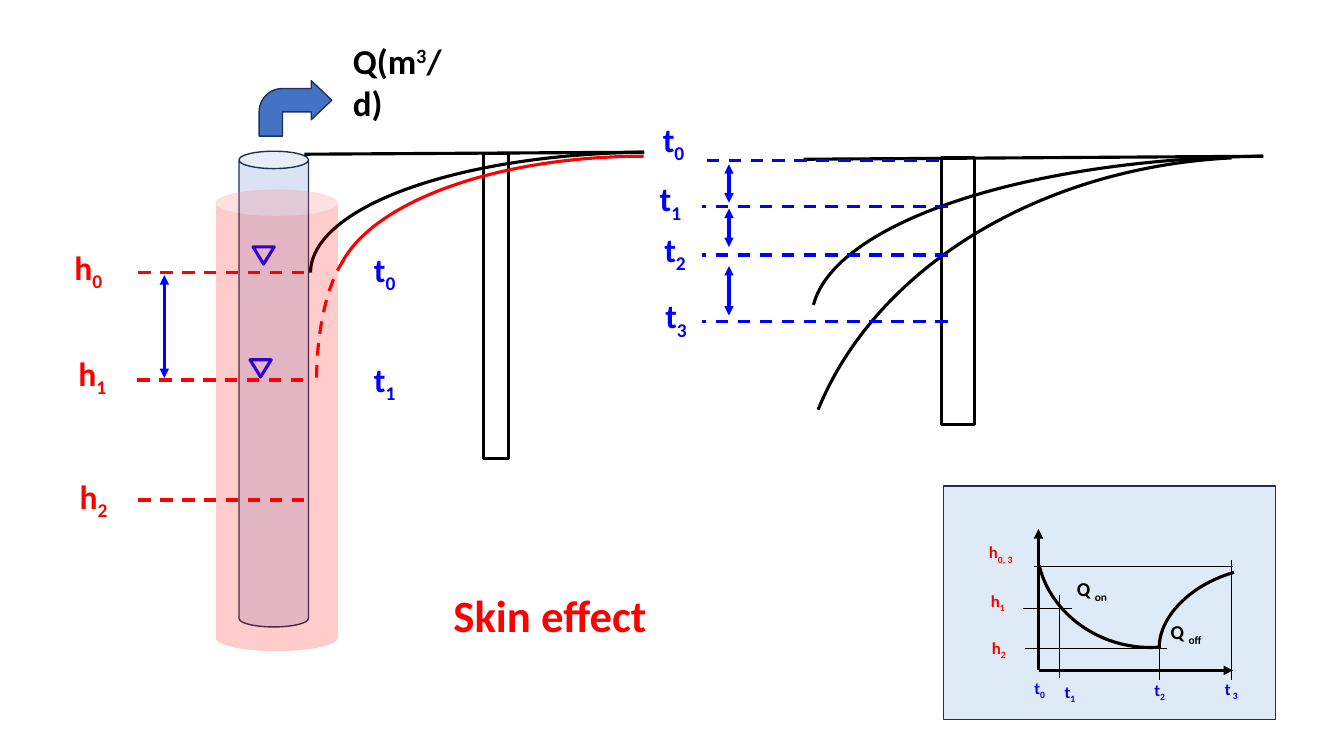
from dataclasses import dataclass
from typing import Optional, Union

from lxml import etree
from pptx import Presentation
from pptx.dml import color as dml_color
from pptx.enum import dml, shapes, text
from pptx.oxml import ns
from pptx.util import Inches, Pt

COLORS = {
    "black": "000000", "white": "FFFFFF", "red": "FF0000", "blue": "0000FF",
    "outline": "1E3256", "casing": "DAE3F3", "pump": "4472C4", "panel": "DEEBF7",
}
FONT = {"name": "Calibri", "bold": True}
KINDS = shapes.MSO_SHAPE
ALIGN = text.PP_ALIGN


@dataclass
class Line:
    start: tuple[float, float]
    end: tuple[float, float]
    color: str = "black"
    width: float = 2.25
    dashed: bool = False
    arrows: tuple[str, ...] = ()


@dataclass
class Figure:
    kind: shapes.MSO_SHAPE
    box: tuple[float, float, float, float]
    fill: Optional[str] = None
    line: Optional[str] = "black"
    width: float = 2.25
    adjustments: tuple[float, ...] = ()
    flip: str = ""
    rotation: float = 0
    dashed: bool = False
    alpha: Optional[int] = None


@dataclass
class Label:
    box: tuple[float, float, float, float]
    runs: tuple[tuple[str, int], ...]
    color: str
    size: float = 24
    align: text.PP_ALIGN = ALIGN.LEFT
    tight: bool = False
    fill: Optional[str] = None


Item = Union[Line, Figure, Label]


def rgb(name: str) -> dml_color.RGBColor:
    return dml_color.RGBColor.from_string(COLORS[name])


def style_line(line, color: str, width: float, dashed: bool) -> None:
    line.color.rgb = rgb(color)
    line.width = Pt(width)
    if dashed:
        line.dash_style = dml.MSO_LINE.DASH


def draw_line(canvas, item: Line) -> None:
    connector = canvas.add_connector(
        shapes.MSO_CONNECTOR.STRAIGHT, *map(Inches, item.start + item.end))
    style_line(connector.line, item.color, item.width, item.dashed)
    for end in item.arrows:
        etree.SubElement(connector.line._get_or_add_ln(), ns.qn(f"a:{end}"), type="triangle")
    etree.SubElement(connector._element.spPr, ns.qn("a:effectLst"))


def draw_figure(canvas, item: Figure) -> None:
    shape = canvas.add_shape(item.kind, *map(Inches, item.box))
    shape.shadow.inherit = False
    shape.rotation = item.rotation
    for index, value in enumerate(item.adjustments):
        shape.adjustments[index] = value
    if item.flip:
        shape._element.spPr.find(ns.qn("a:xfrm")).set(item.flip, "1")
    if item.fill:
        shape.fill.solid()
        shape.fill.fore_color.rgb = rgb(item.fill)
        if item.alpha:
            fill_color = shape._element.spPr.find(ns.qn("a:solidFill"))[0]
            etree.SubElement(fill_color, ns.qn("a:alpha"), val=str(item.alpha * 1000))
    else:
        shape.fill.background()
    if item.line:
        style_line(shape.line, item.line, item.width, item.dashed)
    else:
        shape.line.fill.background()


def write_runs(paragraph, item: Label) -> None:
    paragraph.alignment = item.align
    for words, baseline in item.runs:
        run = paragraph.add_run()
        run.text = words
        for name, value in {**FONT, "size": Pt(item.size)}.items():
            setattr(run.font, name, value)
        run.font.color.rgb = rgb(item.color)
        if baseline:
            run._r.get_or_add_rPr().set("baseline", str(baseline * 1000))


def draw_label(canvas, item: Label) -> None:
    shape = canvas.add_textbox(*map(Inches, item.box))
    frame = shape.text_frame
    frame.word_wrap = not item.tight
    if item.tight:
        for side in ("left", "top", "right", "bottom"):
            setattr(frame, f"margin_{side}", 0)
    if item.fill:
        shape.fill.solid()
        shape.fill.fore_color.rgb = rgb(item.fill)
    write_runs(frame.paragraphs[0], item)


def draw(canvas, items: list[Item]) -> None:
    painters = {Line: draw_line, Figure: draw_figure, Label: draw_label}
    for item in items:
        painters[type(item)](canvas, item)


def symbol(letter: str, index: str, box, color: str, size: float = 24,
           align: text.PP_ALIGN = ALIGN.LEFT, tight: bool = False) -> Label:
    return Label(box, ((letter, 0), (index, -25)), color, size, align, tight)


def arc(box, adjustments, flip: str = "flipH", rotation: float = 0,
        color: str = "black", dashed: bool = False) -> Figure:
    return Figure(KINDS.ARC, box, None, color, 2.25, adjustments, flip, rotation, dashed)


def double_arrow(x: float, top: float, bottom: float) -> Line:
    return Line((x, top), (x, bottom), "blue", arrows=("headEnd", "tailEnd"))


def thin(start, end) -> Line:
    return Line(start, end, width=0.5)


WELL = [
    Figure(KINDS.CAN, (2.37, 1.5, 0.69, 4.72), "casing", "outline", 1),
    *(Line((x, y), (x + 1.74, y), "red", dashed=True)
      for x, y in ((1.36, 3.77), (1.37, 2.7), (1.37, 4.96))),
    Line((3.02, 1.53), (6.39, 1.51)),
    arc((3.08, 1.51, 6.81, 2.39), (164.84, 0)),
    arc((3.14, 2.41, 1.04, 2.74), (169.05, 0), color="red", dashed=True),
    *(Figure(KINDS.ISOSCELES_TRIANGLE, (x, y, 0.21, 0.17), line="blue", flip="flipV")
      for x, y in ((2.51, 2.45), (2.48, 3.57))),
    Figure(KINDS.RECTANGLE, (4.8, 1.52, 0.24, 3.03)),
    arc((3.31, 1.55, 6.15, 2.74), (162, 212.46), color="red"),
    *(symbol("t", str(index), (3.5, y, 0.63, 0.5), "blue", align=ALIGN.CENTER)
      for index, y in enumerate((2.42, 3.51))),
    Label((3.5, 0.39, 0.98, 0.51), (("Q(m", 0), ("3", 30), ("/d)", 0)), "black", 25,
          tight=True, fill="white"),
    Figure(KINDS.BENT_ARROW, (2.57, 0.8, 0.72, 0.55), "pump", "outline", 1,
           (0.422, 0.353, 0.37, 0.42)),
    Figure(KINDS.CAN, (2.14, 1.88, 1.21, 4.58), "red", None, adjustments=(0.218,), alpha=20),
]
HEADS = [
    double_arrow(1.63, 2.73, 3.75),
    *(symbol("h", str(index), (x, y, 2.15, 0.5), "red")
      for index, (x, y) in enumerate(((0.64, 2.4), (0.68, 3.45), (0.69, 4.67)))),
]
CHART = [
    Figure(KINDS.RECTANGLE, (9.36, 4.82, 3.29, 2.32), "panel", "outline", 1),
    *(Line((10.3, 6.65), end, arrows=("tailEnd",)) for end in ((10.3, 5.25), (12.23, 6.65))),
    arc((10.39, 4.39, 1.91, 2.14), (176.18, 15.13), "flipV", 105.6),
    arc((11.76, 5.38, 1.19, 1.77), (211.09, 48.86), rotation=70.6),
    *(symbol("h", index, (x, y, 0.88, 0.3), "red", 12)
      for index, x, y in (("0, 3", 9.71, 5.33), ("1", 9.73, 5.81), ("2", 9.74, 6.28))),
    *(symbol("t", index, (x, y, 0.34, 0.3), "blue", 12)
      for index, x, y in (("0", 10.16, 6.67), ("1", 10.46, 6.71),
                          ("2", 11.35, 6.69), (" 3", 12.05, 6.68))),
    *(thin((left, y), (right, y))
      for left, right, y in ((10.15, 10.63, 6.04), (10.17, 11.57, 6.43), (10.26, 12.23, 5.62))),
    *(thin((x, top), (x, bottom))
      for x, top, bottom in ((10.51, 5.9, 6.73), (11.5, 6.33, 6.75), (12.21, 5.56, 6.75))),
    *(symbol("Q ", index, (x, y, 0.69, 0.36), "black", 14, tight=True)
      for index, x, y in (("on", 10.68, 5.72), ("off", 11.61, 6.15))),
]
OBSERVATION = [
    arc((7.9, 1.56, 9.22, 7.17), (164.84, 207.72)),
    Line((7.97, 1.58), (12.53, 1.55)),
    arc((8.05, 1.55, 9.22, 3.24), (164.84, 214.92)),
    Figure(KINDS.RECTANGLE, (9.34, 1.56, 0.33, 2.65)),
    *(Line((right, y), (6.96, y), "blue", dashed=True)
      for right, y in ((9.31, 1.59), (9.4, 2.05), (9.4, 2.53), (9.4, 3.19))),
    *(double_arrow(7.23, top, bottom)
      for top, bottom in ((1.63, 2.01), (2.07, 2.45), (2.64, 3.13))),
    *(symbol("t", str(index), box, "blue", align=align)
      for index, (box, align) in enumerate((
          ((6.37, 1.13, 0.62, 0.57), ALIGN.CENTER), ((6.33, 1.72, 0.64, 0.57), ALIGN.CENTER),
          ((5.79, 2.22, 1.11, 0.5), ALIGN.RIGHT), ((5.8, 2.88, 1.11, 0.5), ALIGN.RIGHT)))),
]


def place_title(title, item: Label) -> None:
    for name, value in zip(("left", "top", "width", "height"), item.box):
        setattr(title, name, Inches(value))
    frame = title.text_frame
    settings = {"word_wrap": False, "auto_size": text.MSO_AUTO_SIZE.NONE,
                "vertical_anchor": text.MSO_ANCHOR.TOP}
    for name, value in settings.items():
        setattr(frame, name, value)
    write_runs(frame.paragraphs[0], item)


def main() -> None:
    presentation = Presentation()
    presentation.slide_width, presentation.slide_height = Inches(13.33), Inches(7.5)
    slide = presentation.slides.add_slide(presentation.slide_layouts[5])
    place_title(slide.shapes.title, Label(
        (4.39, 5.78, 2.13, 0.64), (("Skin effect", 0),), "red", 32, ALIGN.CENTER))
    for items in (WELL, HEADS, CHART, OBSERVATION):
        draw(slide.shapes.add_group_shape().shapes, items)
    presentation.save("out.pptx")


if __name__ == "__main__":
    main()
